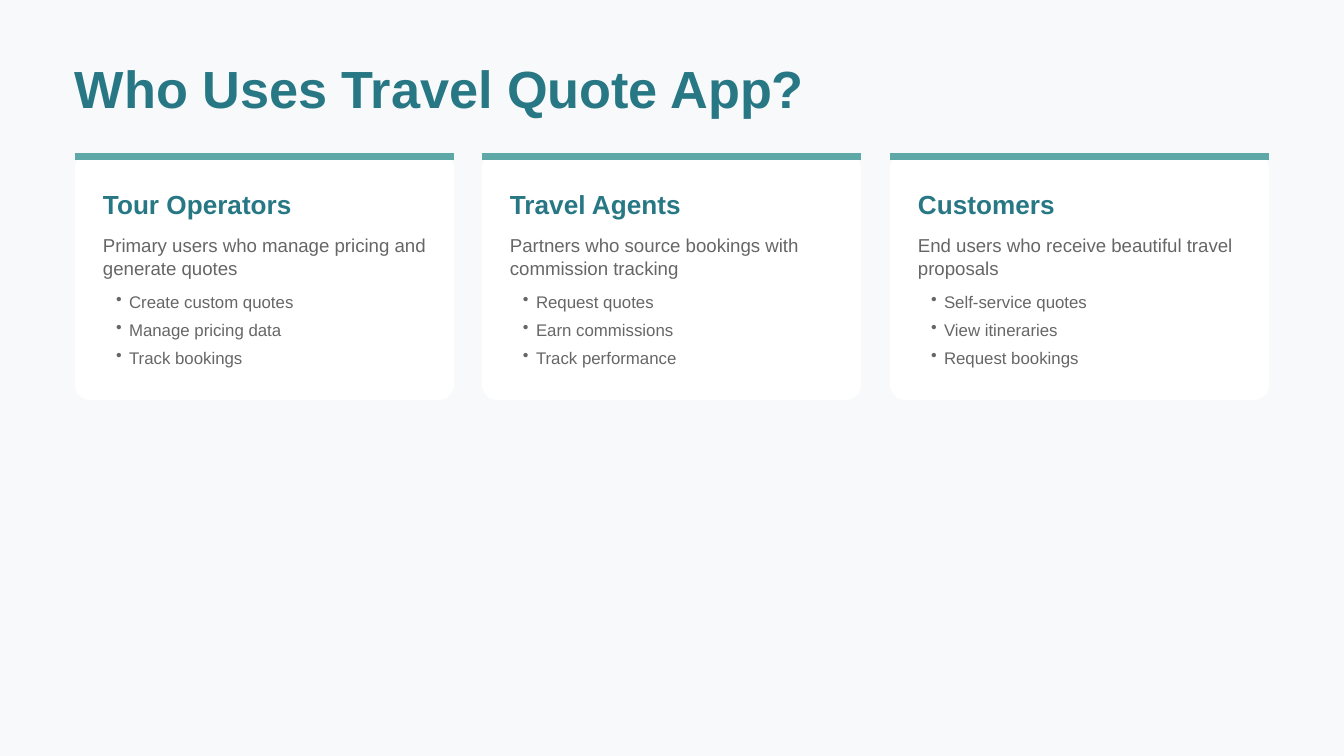
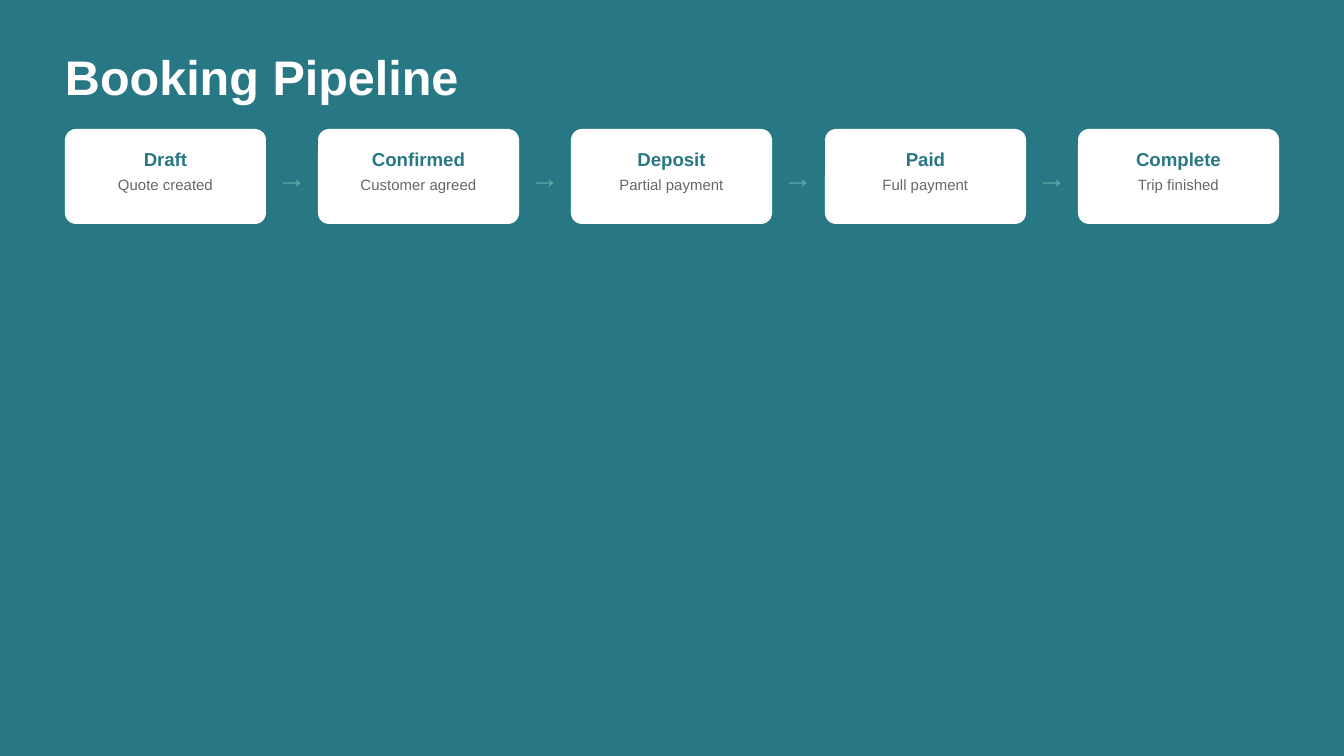
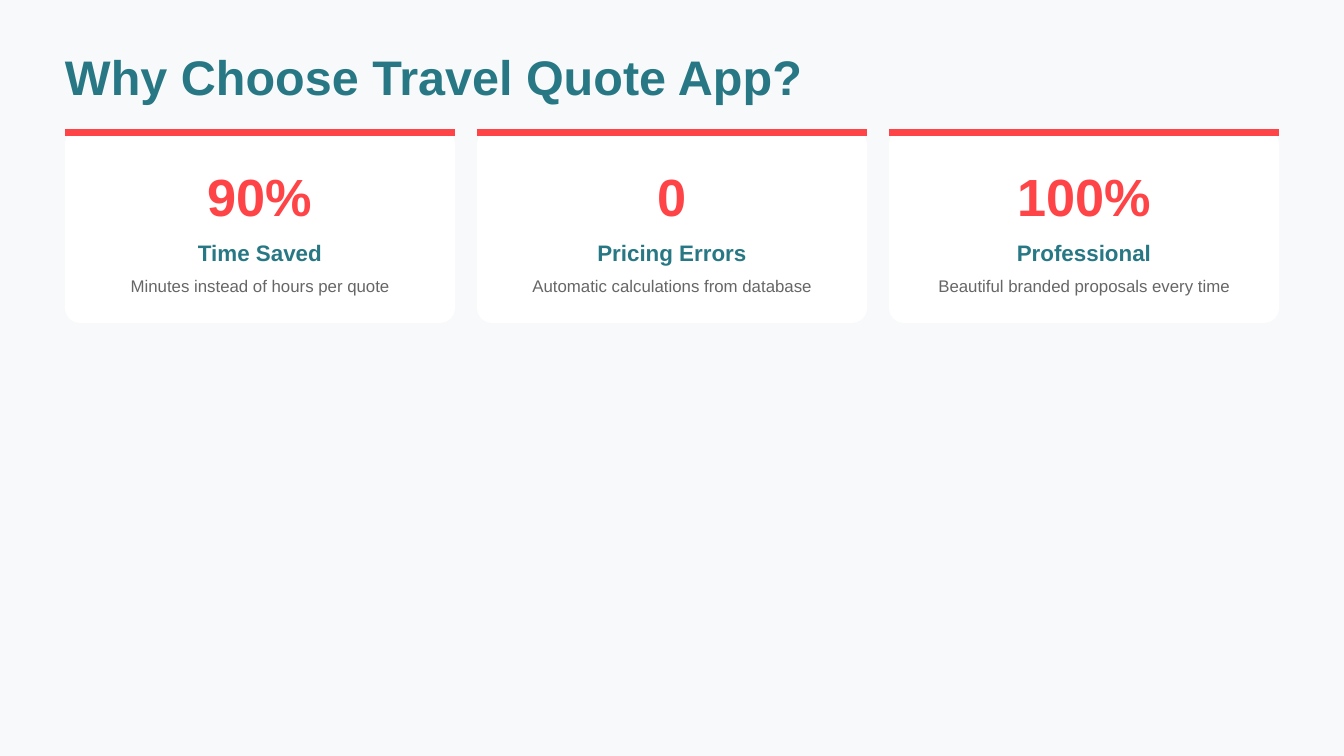
from dataclasses import dataclass

from lxml import etree
from pptx import Presentation
from pptx.dml.color import RGBColor
from pptx.enum.shapes import MSO_CONNECTOR, MSO_SHAPE
from pptx.enum.text import PP_ALIGN
from pptx.oxml.ns import qn
from pptx.util import Pt

ROUND_RECT = MSO_SHAPE.ROUNDED_RECTANGLE
STRAIGHT = MSO_CONNECTOR.STRAIGHT
LEFT, CENTER = PP_ALIGN.LEFT, PP_ALIGN.CENTER

SLIDE_W, SLIDE_H = 1344, 756
PX_PER_INCH = 134.4


def px(n):
    return round(n * 914400 / PX_PER_INCH)


@dataclass(frozen=True)
class TextStyle:
    size: int
    color: str
    bold: bool = False
    align: int = LEFT
    before: int = 0
    after: int = 0


@dataclass(frozen=True)
class Theme:
    font: str = "Arial"
    light: str = "F8F9FA"
    white: str = "FFFFFF"
    teal: str = "277884"
    mint: str = "5EA8A7"
    coral: str = "FE4447"
    gray: str = "666666"
    band: int = 7
    indent: int = 13

    # Type styles
    page_title: TextStyle = TextStyle(28, teal, True, after=20)
    small_title: TextStyle = TextStyle(26, teal, True, after=15)
    light_title: TextStyle = TextStyle(26, white, True, after=15)
    heading: TextStyle = TextStyle(14, teal, True, after=8)
    body: TextStyle = TextStyle(10, gray, after=8)
    bullet: TextStyle = TextStyle(9, gray, after=4)
    stage: TextStyle = TextStyle(10, teal, True, CENTER, after=4)
    stage_note: TextStyle = TextStyle(8, gray, align=CENTER)
    arrow: TextStyle = TextStyle(16, mint, before=16, after=16)
    figure: TextStyle = TextStyle(28, coral, True, CENTER, after=8)
    label: TextStyle = TextStyle(12, teal, True, CENTER, after=6)
    caption: TextStyle = TextStyle(9, gray, align=CENTER)


def columns(count, left, right, gap):
    """Left edges and common width of equal columns."""
    width = (right - left - gap * (count - 1)) / count
    return [round(left + i * (width + gap)) for i in range(count)], round(width)


class Deck:
    def __init__(self, prs, theme):
        self.prs = prs
        self.theme = theme
        self.s = None

    def slide(self, background):
        self.s = self.prs.slides.add_slide(self.prs.slide_layouts[6])
        fill = self.s.background.fill
        fill.solid()
        fill.fore_color.rgb = RGBColor.from_string(background)

    def text(self, x, y, w, h, lines, style, bulleted=False):
        sp = self.s.shapes.add_textbox(px(x), px(y), px(w), px(h))
        tf = sp.text_frame
        tf.word_wrap = True
        tf.margin_left = px(self.theme.indent) if bulleted else 0
        tf.margin_top = tf.margin_right = tf.margin_bottom = 0
        tf.text = "\n".join(lines)
        for p in tf.paragraphs:
            p.alignment = style.align
            p.space_before = Pt(style.before)
            p.space_after = Pt(style.after)
            if bulleted:
                self.bullet(p)
            for r in p.runs:
                r.font.name = self.theme.font
                r.font.size = Pt(style.size)
                r.font.bold = style.bold
                r.font.color.rgb = RGBColor.from_string(style.color)

    def bullet(self, p):
        indent = px(self.theme.indent)
        pPr = p._p.get_or_add_pPr()
        pPr.set("marL", str(indent))
        pPr.set("indent", str(-indent))
        etree.SubElement(pPr, qn("a:buChar")).set("char", "•")

    def card(self, x, y, w, h, radius, band=None):
        sp = self.s.shapes.add_shape(ROUND_RECT, px(x), px(y), px(w), px(h))
        sp.adjustments[0] = radius / h
        sp.shadow.inherit = False
        sp.fill.solid()
        sp.fill.fore_color.rgb = RGBColor.from_string(self.theme.white)
        sp.line.fill.background()
        if band:
            self.line(x, y + (self.theme.band + 1) // 2, w, band)

    def line(self, x, y, w, color):
        c = self.s.shapes.add_connector(STRAIGHT, px(x), px(y), px(x + w), px(y))
        c.line.color.rgb = RGBColor.from_string(color)
        c.line.width = px(self.theme.band)
        etree.SubElement(c._element.spPr, qn("a:effectLst"))


def users_slide(d):
    t = d.theme
    users = [
        ("Tour Operators", "Primary users who manage pricing and generate quotes",
         ["Create custom quotes", "Manage pricing data", "Track bookings"]),
        ("Travel Agents", "Partners who source bookings with commission tracking",
         ["Request quotes", "Earn commissions", "Track performance"]),
        ("Customers", "End users who receive beautiful travel proposals",
         ["Self-service quotes", "View itineraries", "Request bookings"]),
    ]
    d.slide(t.light)
    d.text(75, 56, 1219, 60, ["Who Uses Travel Quote App?"], t.page_title)
    lefts, w = columns(len(users), 75, 1269, 28)
    for x, (name, role, tasks) in zip(lefts, users):
        d.card(x, 153, w, 247, 15, t.mint)
        d.text(x + 28, 188, 331, 31, [name], t.heading)
        d.text(x + 28, 234, 331, 42, [role], t.body)
        d.text(x + 28, 292, 324, 74, tasks, t.bullet, bulleted=True)


def pipeline_slide(d):
    t = d.theme
    stages = [
        ("Draft", "Quote created"),
        ("Confirmed", "Customer agreed"),
        ("Deposit", "Partial payment"),
        ("Paid", "Full payment"),
        ("Complete", "Trip finished"),
    ]
    d.slide(t.teal)
    d.text(65, 47, 1238, 55, ["Booking Pipeline"], t.light_title)
    lefts, w = columns(len(stages), 65, 1279, 52)
    for x, (stage, note) in zip(lefts, stages):
        d.card(x, 129, w, 95, 11)
        d.text(x + 17, 148, 167, 22, [stage], t.stage)
        d.text(x + 17, 176, 167, 16, [note], t.stage_note)
        if x != lefts[-1]:
            d.text(x + w + 11, 159, 31, 35, ["→"], t.arrow)


def benefits_slide(d):
    t = d.theme
    benefits = [
        ("90%", "Time Saved", "Minutes instead of hours per quote"),
        ("0", "Pricing Errors", "Automatic calculations from database"),
        ("100%", "Professional", "Beautiful branded proposals every time"),
    ]
    d.slide(t.light)
    d.text(65, 47, 1238, 55, ["Why Choose Travel Quote App?"], t.small_title)
    lefts, w = columns(len(benefits), 65, 1279, 22)
    for x, (figure, label, caption) in zip(lefts, benefits):
        d.card(x, 129, w, 194, 15, t.coral)
        d.text(x + 25, 164, 340, 60, [figure], t.figure)
        d.text(x + 25, 239, 340, 26, [label], t.label)
        d.text(x + 25, 276, 340, 20, [caption], t.caption)


def main():
    prs = Presentation()
    prs.slide_width, prs.slide_height = px(SLIDE_W), px(SLIDE_H)
    d = Deck(prs, Theme())
    users_slide(d)
    pipeline_slide(d)
    benefits_slide(d)
    prs.save("out.pptx")


if __name__ == "__main__":
    main()
